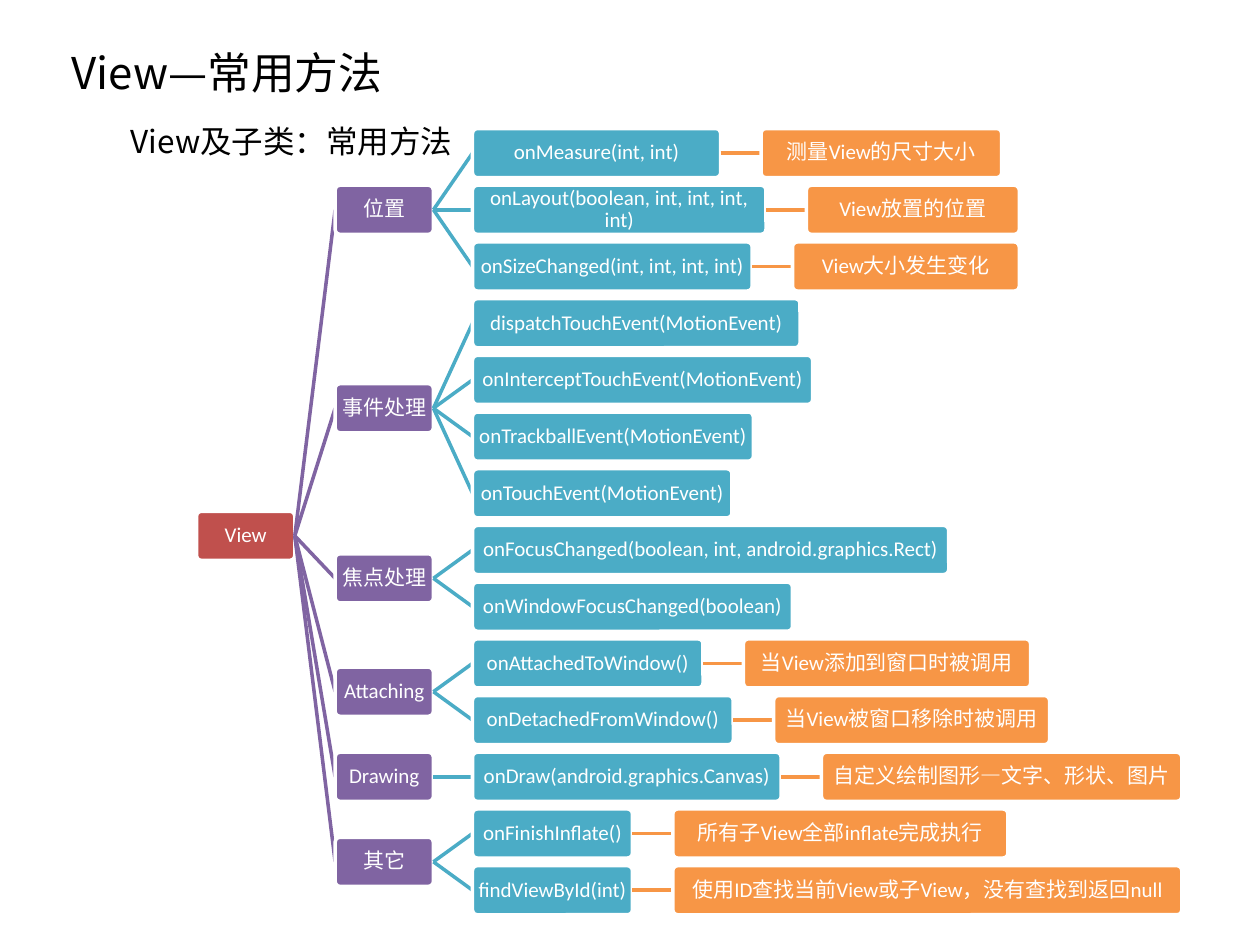
from pptx import Presentation
from pptx.dml.color import RGBColor as RGB
from pptx.enum.shapes import MSO_CONNECTOR as LINK, MSO_SHAPE as SHAPE
from pptx.enum.text import MSO_ANCHOR as ANCHOR, PP_ALIGN as ALIGN
from pptx.oxml.ns import qn
from pptx.util import Pt
from lxml import etree

PX = 9144  # EMU per px, at 100 px to the inch

BLACK = RGB(0x00, 0x00, 0x00)
WHITE = RGB(0xFF, 0xFF, 0xFF)
RED = RGB(0xC0, 0x50, 0x4D)
PURPLE = RGB(0x80, 0x64, 0xA2)
TEAL = RGB(0x4B, 0xAC, 0xC6)
ORANGE = RGB(0xF7, 0x96, 0x46)

CJK = "Noto Sans CJK SC"
ROOT_X, GROUP_X, CALL_X = 156, 266, 375
NODE_W, NODE_H = 78, 39
TOP, STEP, GAP = 102, 45, 32

# Group name, then its methods: (call, width, note, note width)
GROUPS = [
    ("位置", [
        ("onMeasure(int, int)", 197, "测量View的尺寸大小", 191),
        ("onLayout(boolean, int, int, int, int)", 233, "View放置的位置", 169),
        ("onSizeChanged(int, int, int, int)", 222, "View大小发生变化", 180),
    ]),
    ("事件处理", [
        ("dispatchTouchEvent(MotionEvent)", 260, None, 0),
        ("onInterceptTouchEvent(MotionEvent)", 270, None, 0),
        ("onTrackballEvent(MotionEvent)", 223, None, 0),
        ("onTouchEvent(MotionEvent)", 206, None, 0),
    ]),
    ("焦点处理", [
        ("onFocusChanged(boolean, int, android.graphics.Rect)", 378, None, 0),
        ("onWindowFocusChanged(boolean)", 254, None, 0),
    ]),
    ("Attaching", [
        ("onAttachedToWindow()", 183, "当View添加到窗口时被调用", 228),
        ("onDetachedFromWindow()", 207, "当View被窗口移除时被调用", 219),
    ]),
    ("Drawing", [
        ("onDraw(android.graphics.Canvas)", 245,
         "自定义绘制图形—文字、形状、图片", 286),
    ]),
    ("其它", [
        ("onFinishInflate()", 127, "所有子View全部inflate完成执行", 266),
        ("findViewById(int)", 127,
         "使用ID查找当前View或子View，没有查找到返回null", 404),
    ]),
]


def emu(*sizes):
    return [round(size * PX) for size in sizes]


def put_text(shape, text, size=12, font="Calibri", color=WHITE,
             align=ALIGN.CENTER, anchor=ANCHOR.MIDDLE, wrap=True,
             margin=None, spacing=None):
    frame = shape.text_frame
    frame.word_wrap = wrap
    frame.vertical_anchor = anchor
    if margin is not None:
        frame.margin_left = frame.margin_right = margin * PX
        frame.margin_top = frame.margin_bottom = margin * PX
    para = frame.paragraphs[0]
    para.alignment = align
    para.line_spacing = spacing
    run = para.add_run()
    run.text = text
    run.font.size = Pt(size)
    run.font.name = font
    run.font.color.rgb = color


def add_node(slide, text, x, y, width, color):
    node = slide.shapes.add_shape(SHAPE.ROUNDED_RECTANGLE,
                                  *emu(x, y, width, NODE_H))
    node.adjustments[0] = 0.1
    node.shadow.inherit = False
    node.fill.solid()
    node.fill.fore_color.rgb = color
    node.line.color.rgb = WHITE
    node.line.width = Pt(2)
    put_text(node, text, margin=1, spacing=0.9)


def add_link(slide, x, y, end_x, end_y, color):
    """Join the right side of one node to the left side of the next; y are tops."""
    mid = NODE_H / 2
    link = slide.shapes.add_connector(
        LINK.STRAIGHT, *emu(x, y + mid, end_x, end_y + mid))
    link.line.color.rgb = color
    link.line.width = Pt(2)
    etree.SubElement(link._element.spPr, qn("a:effectLst"))


def add_call(slide, group_y, y, call, width, note, note_w):
    add_link(slide, GROUP_X + NODE_W, group_y, CALL_X, y, TEAL)
    add_node(slide, call, CALL_X, y, width, TEAL)
    if note:
        end = CALL_X + width
        add_link(slide, end, y, end + GAP, y, ORANGE)
        add_node(slide, note, end + GAP, y, note_w, ORANGE)


def add_tree(slide):
    """Centre each group on its calls, and the root on its groups."""
    tops, row = [], 0
    for _, calls in GROUPS:
        tops.append(TOP + STEP * (row + (len(calls) - 1) / 2))
        row += len(calls)
    root_y = (tops[0] + tops[-1]) / 2
    add_node(slide, "View", ROOT_X, root_y, NODE_W, RED)
    y = TOP
    for (name, calls), group_y in zip(GROUPS, tops):
        add_link(slide, ROOT_X + NODE_W, root_y, GROUP_X, group_y, PURPLE)
        add_node(slide, name, GROUP_X, group_y, NODE_W, PURPLE)
        for call in calls:
            add_call(slide, group_y, y, *call)
            y += STEP


def add_heads(slide):
    title = slide.shapes.title
    title.left, title.top, title.width, title.height = emu(47, 31, 279, 52)
    put_text(title, "View—常用方法", size=25, font=CJK, color=BLACK,
             align=ALIGN.LEFT, anchor=ANCHOR.TOP, wrap=False)
    lead = slide.shapes.add_textbox(*emu(94, 92, 280, 40))
    put_text(lead, "View及子类：常用方法", size=18, font=CJK, color=BLACK,
             align=ALIGN.LEFT, anchor=ANCHOR.TOP)


def main():
    deck = Presentation()
    deck.slide_width, deck.slide_height = emu(1000, 750)
    slide = deck.slides.add_slide(deck.slide_layouts.get_by_name("Title Only"))
    add_heads(slide)
    add_tree(slide)
    deck.save("out.pptx")


if __name__ == "__main__":
    main()
